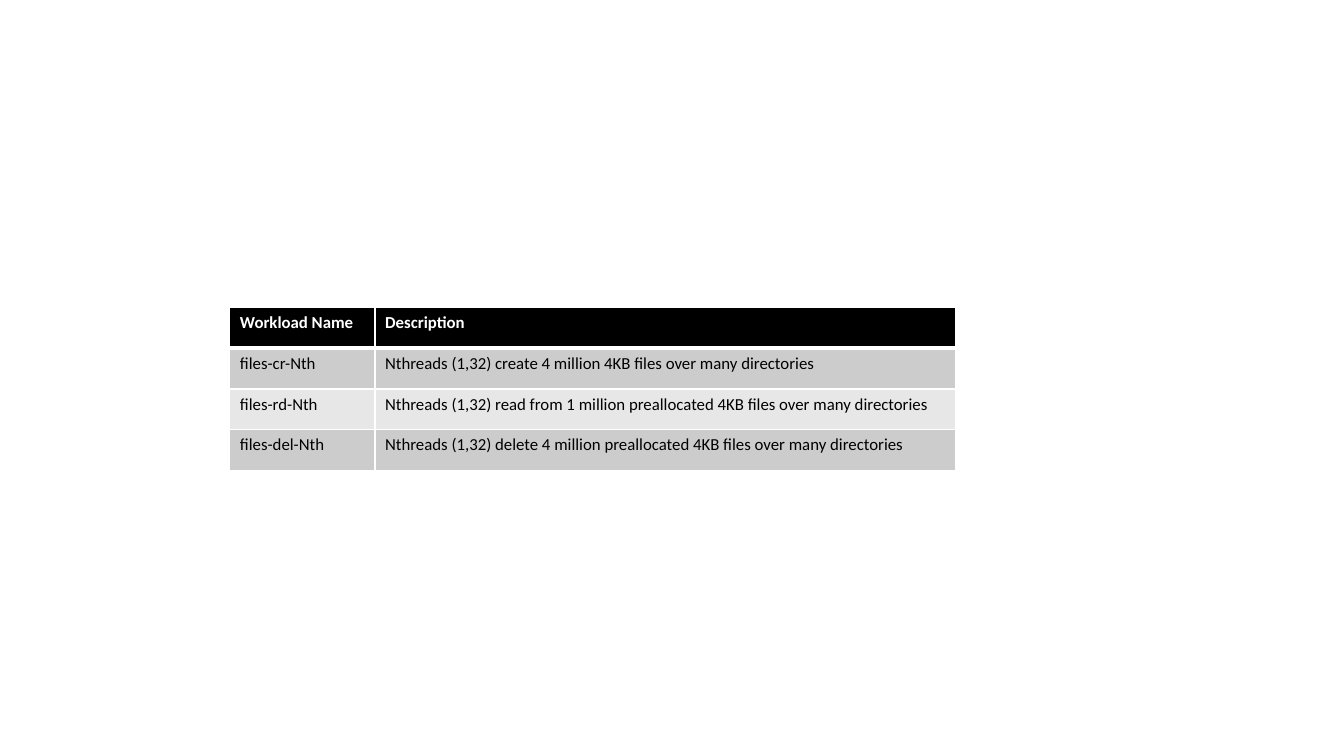
from lxml import etree
from pptx import Presentation
from pptx.dml.color import RGBColor
from pptx.oxml.ns import qn
from pptx.util import Inches, Pt

BLANK_LAYOUT = 6
FONT = "Calibri"
WHITE, BLACK = "FFFFFF", "000000"
BANDS = ("CCCCCC", "E7E7E7")
COLUMN_SHARES = (0.2, 0.8)
WORKLOADS = [
    ("Workload Name", "Description"),
    ("files-cr-Nth", "Nthreads (1,32) create 4 million 4KB files over many directories"),
    ("files-rd-Nth", "Nthreads (1,32) read from 1 million preallocated 4KB files over many directories"),
    ("files-del-Nth", "Nthreads (1,32) delete 4 million preallocated 4KB files over many directories"),
]


def rgb(value):
    """Turn a hex string into a colour."""
    return RGBColor.from_string(value)


def set_borders(cell, widths, color):
    """Draw solid cell borders; widths maps L, R, T, B to points."""
    tcPr = cell._tc.get_or_add_tcPr()
    for i, side in enumerate("LRTB"):
        ln = etree.Element(qn(f"a:ln{side}"), w=str(Pt(widths[side])))
        fill = etree.SubElement(ln, qn("a:solidFill"))
        etree.SubElement(fill, qn("a:srgbClr"), val=color)
        tcPr.insert(i, ln)


def fill_cell(cell, text, row):
    """Write and format one cell according to its row."""
    header = row == 0
    cell.fill.solid()
    cell.fill.fore_color.rgb = rgb(BLACK if header else BANDS[(row - 1) % 2])
    r = cell.text_frame.paragraphs[0].add_run()
    r.text = text
    r.font.name = FONT
    r.font.size = Pt(12)
    r.font.bold = header
    r.font.color.rgb = rgb(WHITE if header else BLACK)
    widths = {"L": 1, "R": 1, "T": 3 if row == 1 else 1, "B": 3 if header else 1}
    set_borders(cell, widths, WHITE)


def add_workload_table(s, left, top, width, height):
    """Place the workload table in the given box, in inches."""
    table = s.shapes.add_table(len(WORKLOADS), len(COLUMN_SHARES), Inches(left),
                               Inches(top), Inches(width), Inches(height)).table
    for column, share in zip(table.columns, COLUMN_SHARES):
        column.width = Inches(width * share)
    for i, texts in enumerate(WORKLOADS):
        table.rows[i].height = Inches(height / len(WORKLOADS))
        for j, text in enumerate(texts):
            fill_cell(table.cell(i, j), text, i)


prs = Presentation()
prs.slide_width, prs.slide_height = Inches(13.33), Inches(7.5)
s = prs.slides.add_slide(prs.slide_layouts[BLANK_LAYOUT])
add_workload_table(s, 2.28, 3.05, 7.2, 1.62)
prs.save("out.pptx")
